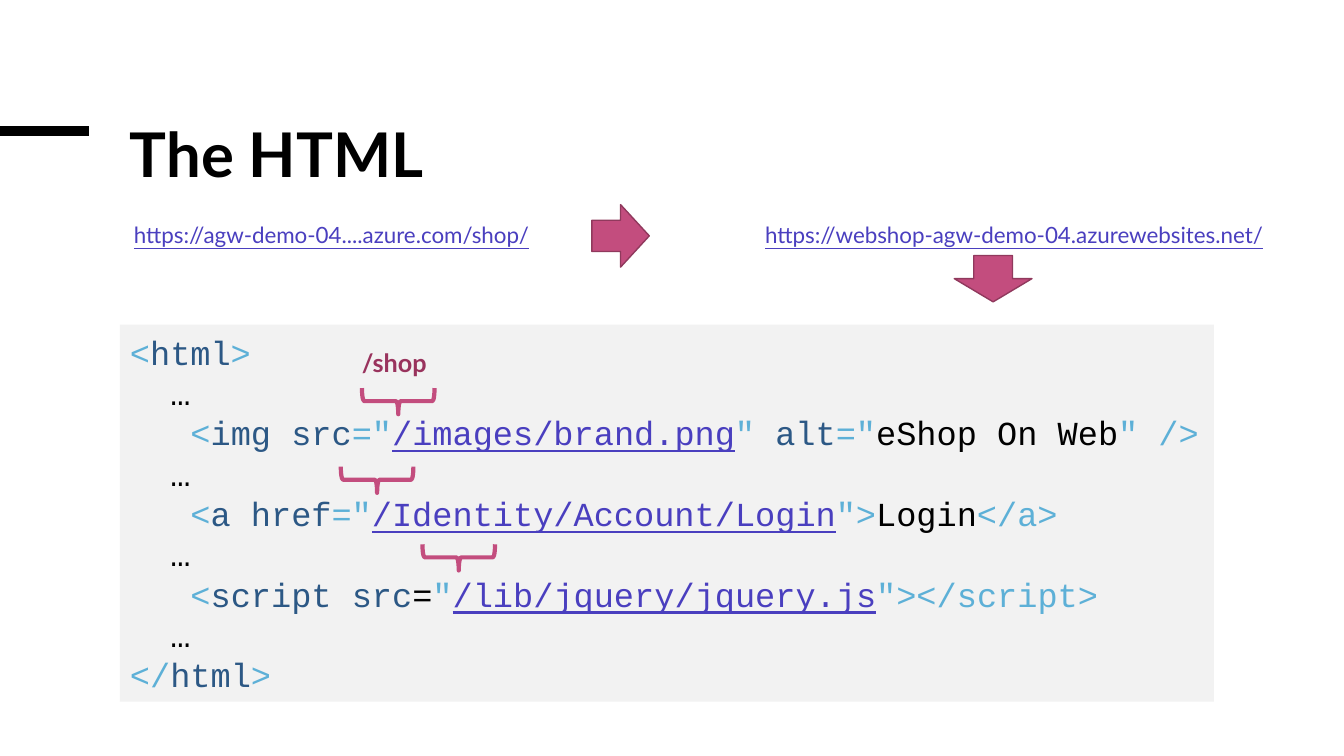
from dataclasses import dataclass
from enum import Enum

from lxml.etree import SubElement
from pptx import Presentation
from pptx.dml.color import RGBColor
from pptx.enum.shapes import MSO_CONNECTOR, MSO_SHAPE
from pptx.enum.text import MSO_ANCHOR, PP_ALIGN
from pptx.oxml.ns import qn
from pptx.shapes.autoshape import Shape
from pptx.slide import Slide
from pptx.text.text import TextFrame
from pptx.util import Emu, Pt

EMU_PER_PX = 9144  # 100 px to the inch


@dataclass(frozen=True)
class Theme:
    heading_font: str = "Lato"
    code_font: str = "Courier New"
    title_size: int = 44
    code_size: int = 24
    prefix_size: int = 18
    address_size: int = 16
    black: str = "000000"
    panel: str = "F2F2F2"
    accent: str = "C34D7E"
    accent_outline: str = "90395D"
    prefix: str = "99335D"
    link: str = "4A3FBF"
    bracket: str = "5DB0D7"
    tag: str = "2C5885"


THEME = Theme()


class Token(Enum):
    BRACKET = THEME.bracket
    TAG = THEME.tag
    LINK = THEME.link
    PLAIN = THEME.black


@dataclass(frozen=True)
class Box:
    left: int
    top: int
    width: int
    height: int

    def emu(self) -> tuple[Emu, Emu, Emu, Emu]:
        return px(self.left), px(self.top), px(self.width), px(self.height)


@dataclass(frozen=True)
class Label:
    text: str
    box: Box
    size: int
    color: str
    bold: bool = False
    underline: bool = False
    anchor: MSO_ANCHOR = MSO_ANCHOR.TOP
    line_spacing: float = 1.0


@dataclass(frozen=True)
class Arrow:
    box: Box
    rotation: int = 0


CodeLine = list[tuple[str, Token]]

ELLIPSIS: CodeLine = [("  …", Token.PLAIN)]
CODE: list[CodeLine] = [
    [("<", Token.BRACKET), ("html", Token.TAG), (">", Token.BRACKET)],
    ELLIPSIS,
    [("   <", Token.BRACKET), ("img src", Token.TAG), ('="', Token.BRACKET),
     ("/images/brand.png", Token.LINK), ('" ', Token.BRACKET), ("alt", Token.TAG),
     ('="', Token.BRACKET), ("eShop On Web", Token.PLAIN), ('" />', Token.BRACKET)],
    ELLIPSIS,
    [("   <", Token.BRACKET), ("a href", Token.TAG), ('="', Token.BRACKET),
     ("/Identity/Account/Login", Token.LINK), ('">', Token.BRACKET),
     ("Login", Token.PLAIN), ("</a>", Token.BRACKET)],
    ELLIPSIS,
    [("   <", Token.BRACKET), ("script src", Token.TAG), ("=", Token.PLAIN),
     ('"', Token.BRACKET), ("/lib/jquery/jquery.js", Token.LINK),
     ('"></script>', Token.BRACKET)],
    ELLIPSIS,
    [("</", Token.BRACKET), ("html", Token.TAG), (">", Token.BRACKET)],
]
CODE_BOX = Box(119, 322, 1085, 374)

LABELS = [
    Label("The HTML", Box(119, 119, 1085, 77), THEME.title_size, THEME.black,
          bold=True, anchor=MSO_ANCHOR.MIDDLE, line_spacing=0.85),
    Label("/shop", Box(349, 340, 92, 40), THEME.prefix_size, THEME.prefix, bold=True),
    Label("https://agw-demo-04....azure.com/shop/", Box(123, 214, 449, 37),
          THEME.address_size, THEME.link, underline=True),
    Label("https://webshop-agw-demo-04.azurewebsites.net/", Box(749, 214, 555, 37),
          THEME.address_size, THEME.link, underline=True),
]
BRACES = [Box(left, top, 26, 72) for left, top in ((382, 362), (361, 440), (442, 517))]
ARROWS = [Arrow(Box(587, 203, 57, 62)), Arrow(Box(962, 238, 46, 77), rotation=90)]


def px(length: int) -> Emu:
    return Emu(length * EMU_PER_PX)


def rgb(color: str) -> RGBColor:
    return RGBColor.from_string(color)


def add_preset(slide: Slide, preset: MSO_SHAPE, box: Box, fill: str | None = None,
               outline: str | None = None, outline_width: float = 1) -> Shape:
    shape = slide.shapes.add_shape(preset, *box.emu())
    shape.shadow.inherit = False
    if fill:
        shape.fill.solid()
        shape.fill.fore_color.rgb = rgb(fill)
    else:
        shape.fill.background()
    if outline:
        shape.line.color.rgb = rgb(outline)
        shape.line.width = Pt(outline_width)
    else:
        shape.line.fill.background()
    return shape


def add_title_rule(slide: Slide) -> None:
    rule = slide.shapes.add_connector(MSO_CONNECTOR.STRAIGHT, px(0), px(130), px(88), px(130))
    rule.line.color.rgb = rgb(THEME.black)
    rule.line.width = Pt(6.75)
    SubElement(rule.element.spPr, qn("a:effectLst"))


def write_code(frame: TextFrame) -> None:
    frame.word_wrap = True
    frame.vertical_anchor = MSO_ANCHOR.MIDDLE
    for index, line in enumerate(CODE):
        paragraph = frame.add_paragraph() if index else frame.paragraphs[0]
        paragraph.alignment = PP_ALIGN.LEFT
        paragraph.font.name = THEME.code_font
        paragraph.font.size = Pt(THEME.code_size)
        for text, token in line:
            run = paragraph.add_run()
            run.text = text
            run.font.color.rgb = rgb(token.value)
            run.font.underline = token is Token.LINK


def add_label(slide: Slide, label: Label) -> None:
    frame = slide.shapes.add_textbox(*label.box.emu()).text_frame
    frame.word_wrap = True
    frame.vertical_anchor = label.anchor
    paragraph = frame.paragraphs[0]
    paragraph.text = label.text
    paragraph.line_spacing = label.line_spacing
    font = paragraph.font
    font.name = THEME.heading_font
    font.size = Pt(label.size)
    font.bold = label.bold
    font.underline = label.underline
    font.color.rgb = rgb(label.color)


def main() -> None:
    presentation = Presentation()
    presentation.slide_width, presentation.slide_height = px(1333), px(750)
    slide = presentation.slides.add_slide(presentation.slide_layouts[6])

    add_title_rule(slide)
    panel = add_preset(slide, MSO_SHAPE.RECTANGLE, CODE_BOX, fill=THEME.panel)
    write_code(panel.text_frame)
    for box in BRACES:
        brace = add_preset(slide, MSO_SHAPE.RIGHT_BRACE, box,
                           outline=THEME.accent, outline_width=3)
        brace.rotation = 90
    for label in LABELS:
        add_label(slide, label)
    for arrow in ARROWS:
        shape = add_preset(slide, MSO_SHAPE.RIGHT_ARROW, arrow.box,
                           fill=THEME.accent, outline=THEME.accent_outline)
        shape.rotation = arrow.rotation

    presentation.save("out.pptx")


if __name__ == "__main__":
    main()
